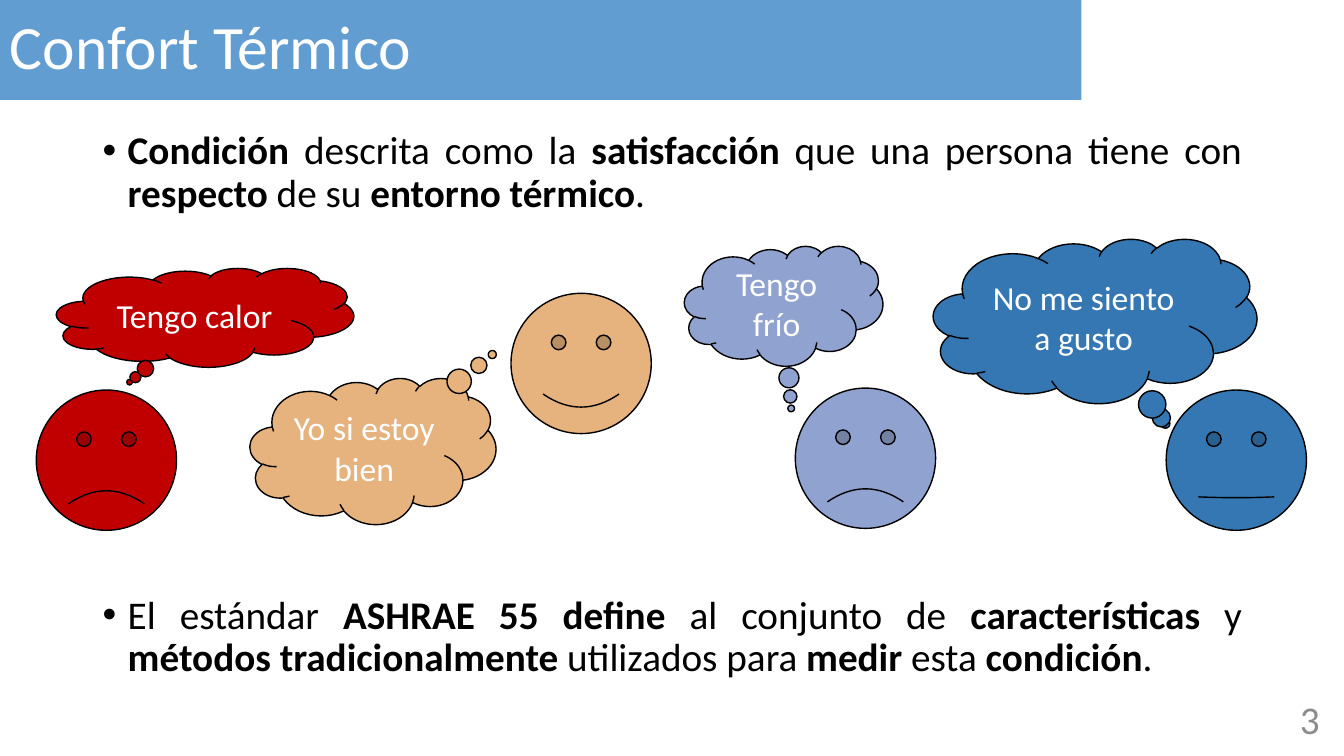
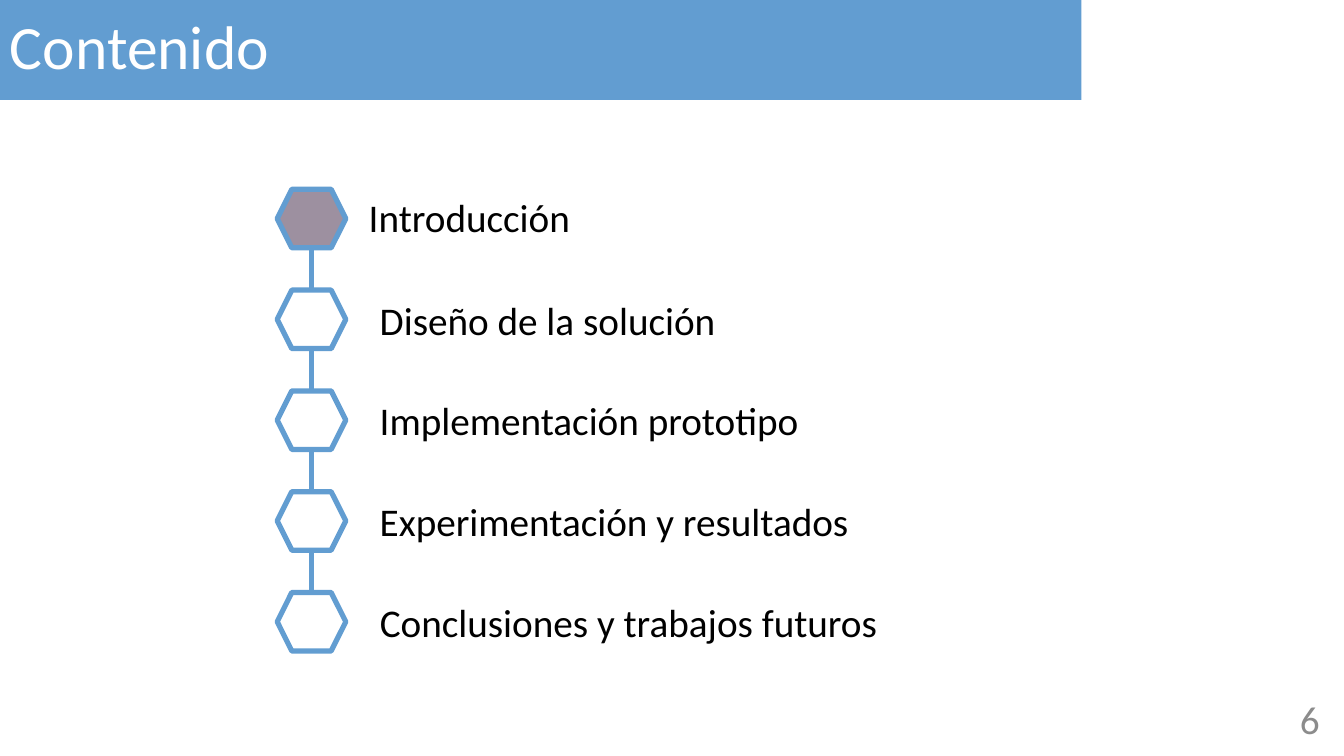
from dataclasses import dataclass

from lxml import etree
from pptx import Presentation
from pptx.dml.color import RGBColor
from pptx.enum.shapes import MSO_CONNECTOR, MSO_SHAPE
from pptx.enum.text import MSO_ANCHOR, PP_ALIGN
from pptx.oxml.ns import qn
from pptx.util import Pt

RECTANGLE = MSO_SHAPE.RECTANGLE
SMILEY = MSO_SHAPE.SMILEY_FACE
CLOUD = MSO_SHAPE.CLOUD_CALLOUT
HEXAGON = MSO_SHAPE.HEXAGON
STRAIGHT = MSO_CONNECTOR.STRAIGHT
TOP, MIDDLE = MSO_ANCHOR.TOP, MSO_ANCHOR.MIDDLE
LEFT, CENTER, RIGHT, JUSTIFY = PP_ALIGN.LEFT, PP_ALIGN.CENTER, PP_ALIGN.RIGHT, PP_ALIGN.JUSTIFY

COLORS = {
    "band": "629DD1",
    "white": "FFFFFF",
    "black": "000000",
    "number": "8C8C8C",
    "hot": "C00000",
    "fine": "E6B27E",
    "cold": "90A2CF",
    "uneasy": "3477B2",
    "current": "9D90A0",
}


@dataclass(frozen=True)
class Box:
    left: float
    top: float
    width: float
    height: float


@dataclass(frozen=True)
class TextStyle:
    size: float
    color: str
    align: PP_ALIGN = LEFT
    anchor: MSO_ANCHOR = MIDDLE
    line_spacing: float = 1.0
    wrap: bool = True
    bullet: bool = False


@dataclass(frozen=True)
class Person:
    color: str
    face_left: float
    face_top: float
    smile: float
    thought: str
    cloud: Box
    tail: tuple[float, float]


TITLE = TextStyle(44, "white", line_spacing=0.9)
NUMBER = TextStyle(28, "number", RIGHT)
THOUGHT = TextStyle(24, "white", CENTER)
LABEL = TextStyle(28, "black", anchor=TOP, wrap=False)
BODY_TOP = TextStyle(28, "black", JUSTIFY, TOP, 0.9, bullet=True)
BODY_MIDDLE = TextStyle(28, "black", JUSTIFY, MIDDLE, 0.9, bullet=True)

BAND_BOX = Box(0, 0, 772.5, 71.3)
NUMBER_BOX = Box(733.7, 499, 216, 28.8)
FACE_SIZE = 100.2

PEOPLE = (
    Person("fine", 365, 209.5, 0.0465, "Yo si estoy bien",
           Box(178.6, 270, 175.7, 104.4), (0.485, -0.661)),
    Person("cold", 568.1, 277.2, -0.0465, "Tengo frío",
           Box(488.9, 175.7, 141.8, 85.7), (0.038, 0.854)),
    Person("hot", 25.9, 278.6, -0.0465, "Tengo calor",
           Box(40.3, 191.5, 212.4, 70.6), (-0.254, 0.654)),
    Person("uneasy", 833, 278.6, 0.003, "No me siento a gusto",
           Box(666.7, 170.6, 231.1, 117.4), (0.217, 0.625)),
)

# Bold words stand between double asterisks
BODY_TEXTS = (
    (Box(66.2, 90, 828, 71.3), BODY_TOP,
     "**Condición** descrita como la **satisfacción** que una persona tiene con "
     "**respecto** de su **entorno térmico**."),
    (Box(66.2, 411.8, 828, 87.1), BODY_MIDDLE,
     "El estándar **ASHRAE 55 define** al conjunto de **características** y "
     "**métodos tradicionalmente **utilizados para **medir** esta **condición**."),
)

SECTIONS = (
    ("Introducción", 256.3, 134.6, 159.8),
    ("Diseño de la solución", 264.2, 208, 257),
    ("Implementación prototipo", 264.2, 279.6, 316.8),
    ("Experimentación y resultados", 264.2, 351.6, 352.8),
    ("Conclusiones y trabajos futuros", 264.2, 423.6, 373.7),
)
LABEL_HEIGHT = 41
FIRST_HEXAGON = Box(198, 135.2, 49, 41.8)
HEXAGON_PITCH = 72
HEXAGON_LINE = 3.75


def rgb(name: str) -> RGBColor:
    return RGBColor.from_string(COLORS[name])


def lengths(box: Box) -> tuple[Pt, Pt, Pt, Pt]:
    return Pt(box.left), Pt(box.top), Pt(box.width), Pt(box.height)


def add_bullet(paragraph) -> None:
    properties = paragraph._p.get_or_add_pPr()
    properties.set("marL", str(Pt(18)))
    properties.set("indent", str(Pt(-18)))
    etree.SubElement(properties, qn("a:buFont"), typeface="Arial")
    etree.SubElement(properties, qn("a:buChar"), char="•")


def write(shape, text: str, style: TextStyle) -> None:
    frame = shape.text_frame
    frame.word_wrap = style.wrap
    frame.vertical_anchor = style.anchor
    paragraph = frame.paragraphs[0]
    if style.bullet:
        add_bullet(paragraph)
    paragraph.alignment = style.align
    paragraph.line_spacing = style.line_spacing
    for index, part in enumerate(text.split("**")):
        if not part:
            continue
        run = paragraph.add_run()
        run.text = part
        font_values = {"name": "Calibri", "size": Pt(style.size), "bold": index % 2 == 1}
        for attribute, value in font_values.items():
            setattr(run.font, attribute, value)
        run.font.color.rgb = rgb(style.color)


def add_text(slide, box: Box, text: str, style: TextStyle) -> None:
    write(slide.shapes.add_textbox(*lengths(box)), text, style)


def add_figure(slide, kind: MSO_SHAPE, box: Box, fill: str, line: str | None = None,
               line_width: float = 1, adjustments: tuple[float, ...] = ()):
    shape = slide.shapes.add_shape(kind, *lengths(box))
    shape.shadow.inherit = False
    shape.fill.solid()
    shape.fill.fore_color.rgb = rgb(fill)
    if line is None:
        shape.line.fill.background()
    else:
        shape.line.color.rgb = rgb(line)
        shape.line.width = Pt(line_width)
    for index, value in enumerate(adjustments):
        shape.adjustments[index] = value
    return shape


def add_link(slide, x: float, top: float, bottom: float) -> None:
    connector = slide.shapes.add_connector(STRAIGHT, Pt(x), Pt(top), Pt(x), Pt(bottom))
    connector.line.color.rgb = rgb("band")
    connector.line.width = Pt(HEXAGON_LINE)
    etree.SubElement(connector._element.spPr, qn("a:effectLst"))


def add_base_slide(presentation, title: str, number: int):
    """Blank slide with the title band and the slide number."""
    slide = presentation.slides.add_slide(presentation.slide_layouts[6])
    write(add_figure(slide, RECTANGLE, BAND_BOX, "band"), title, TITLE)
    add_text(slide, NUMBER_BOX, str(number), NUMBER)
    return slide


def build_comfort(presentation) -> None:
    slide = add_base_slide(presentation, "Confort Térmico", 3)
    for box, style, text in BODY_TEXTS:
        add_text(slide, box, text, style)
    # Faces first, so that the thoughts lie over them
    for person in PEOPLE:
        face = Box(person.face_left, person.face_top, FACE_SIZE, FACE_SIZE)
        add_figure(slide, SMILEY, face, person.color, "black", adjustments=(person.smile,))
    for person in PEOPLE:
        cloud = add_figure(slide, CLOUD, person.cloud, person.color, "black",
                           adjustments=person.tail)
        write(cloud, person.thought, THOUGHT)


def build_contents(presentation) -> None:
    slide = add_base_slide(presentation, "Contenido", 6)
    first = FIRST_HEXAGON
    for index, (label, left, top, width) in enumerate(SECTIONS):
        hexagon_top = first.top + index * HEXAGON_PITCH
        # Link down to the next hexagon
        if index < len(SECTIONS) - 1:
            add_link(slide, first.left + first.width / 2,
                     hexagon_top + first.height, hexagon_top + HEXAGON_PITCH)
        add_figure(slide, HEXAGON, Box(first.left, hexagon_top, first.width, first.height),
                   "white" if index else "current", "band", HEXAGON_LINE)
        add_text(slide, Box(left, top, width, LABEL_HEIGHT), label, LABEL)


def main() -> None:
    presentation = Presentation()
    presentation.slide_width = Pt(960)
    presentation.slide_height = Pt(540)
    build_comfort(presentation)
    build_contents(presentation)
    presentation.save("out.pptx")


if __name__ == "__main__":
    main()
